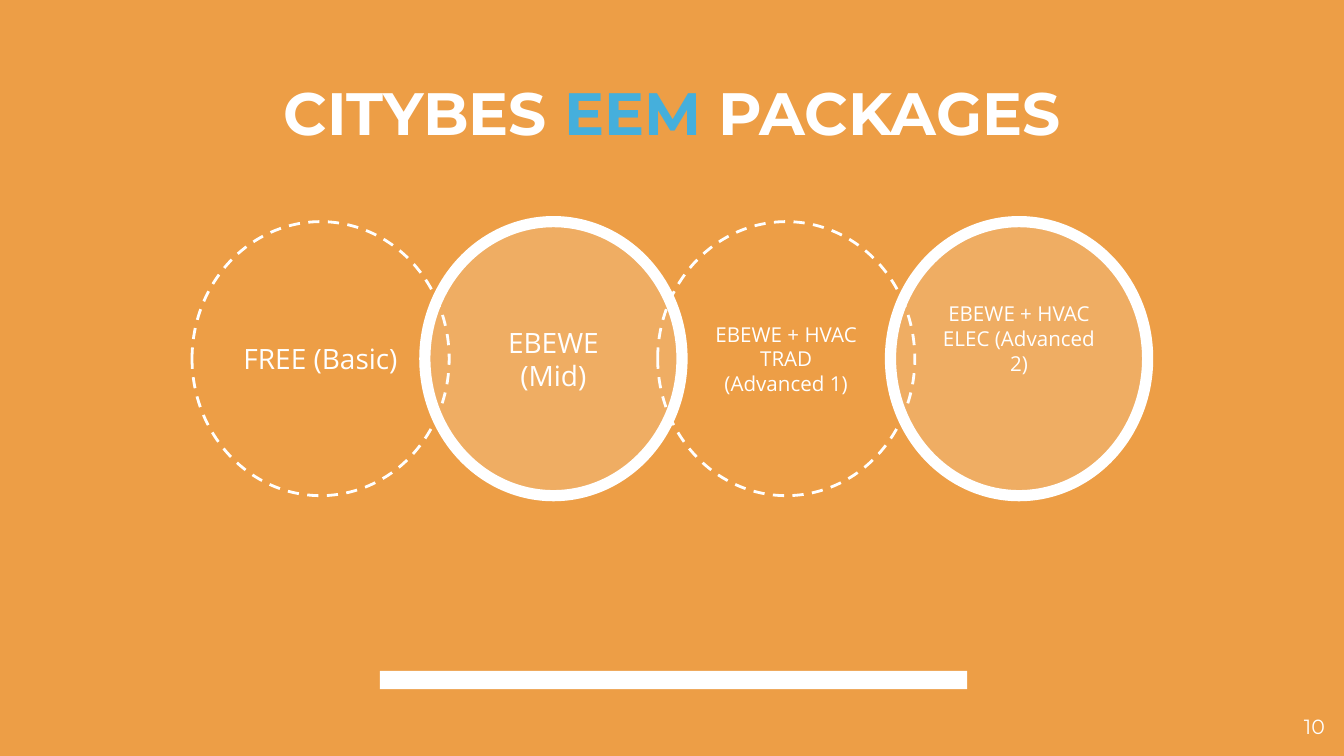
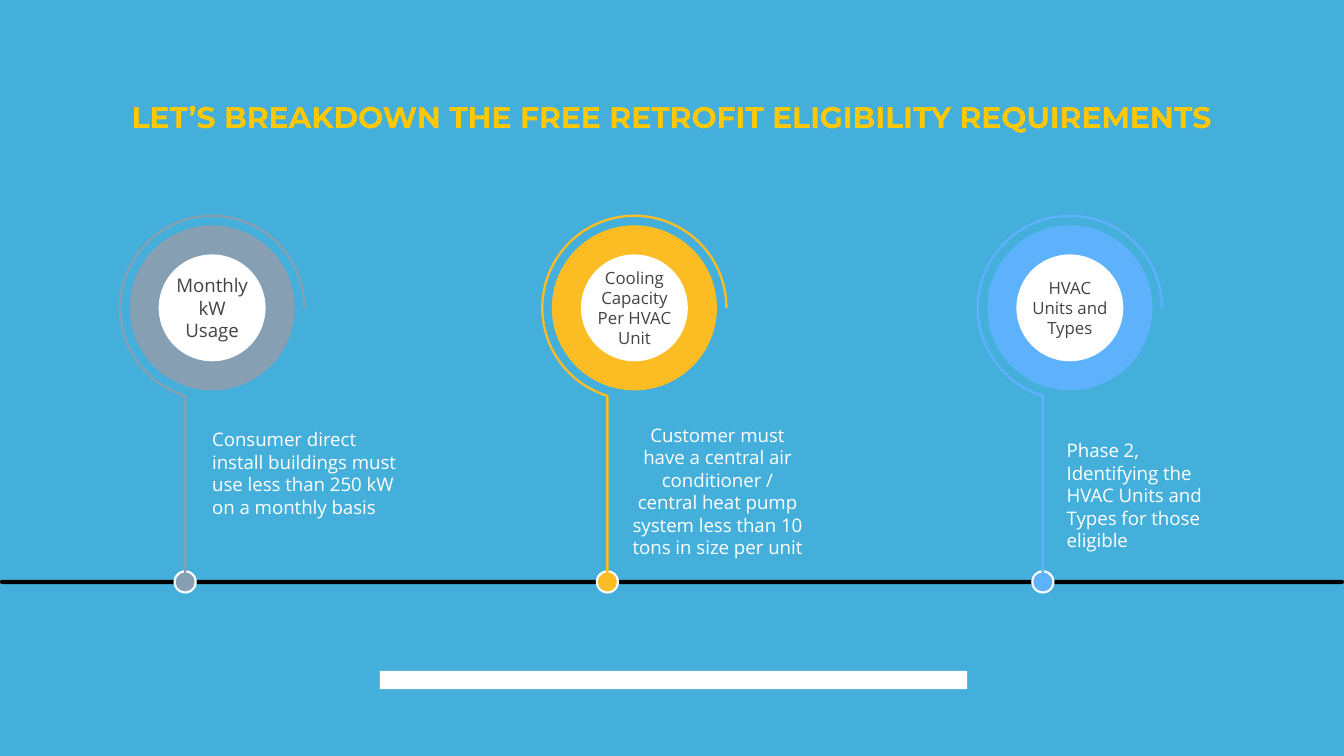
import math

import pptx
import pptx.dml.color
import pptx.enum.dml
import pptx.enum.shapes
import pptx.enum.text
import pptx.oxml
import pptx.oxml.ns
import pptx.util
from pptx.util import Cm

COLORS = {
    "orange": "ED9E46",
    "blue": "45AFDC",
    "white": "FFFFFF",
    "black": "000000",
    "title_yellow": "FFC800",
    "grey": "869FB2",
    "amber": "FCBD24",
    "sky": "5EB2FC",
    "dark_text": "434343",
}
TITLE_FONT = "Montserrat"
BODY_FONT = "Open Sans"
INSET = 0.25

ALIGN = pptx.enum.text.PP_ALIGN
ANCHOR = pptx.enum.text.MSO_ANCHOR
PRESET = pptx.enum.shapes.MSO_SHAPE

# Timeline measures in centimetres
TIMELINE_Y = 11.0
MILESTONE_Y = 5.82
ARC_RADIUS = 1.74
STEM_OFFSET = 0.51
ARC_STEPS = 90


def rgb(name):
    return pptx.dml.color.RGBColor.from_string(COLORS[name])


def new_slide(presentation, background):
    """Add a blank slide with a coloured background and the white bottom band."""
    slide = presentation.slides.add_slide(presentation.slide_layouts[6])
    slide.background.fill.solid()
    slide.background.fill.fore_color.rgb = rgb(background)
    add_preset(slide, PRESET.RECTANGLE, (7.18, 12.68, 11.1, 0.35), "white")
    return slide


def add_preset(slide, preset, box, fill=None):
    shape = slide.shapes.add_shape(preset, *map(Cm, box))
    shape.shadow.inherit = False
    shape.line.fill.background()
    if fill:
        shape.fill.solid()
        shape.fill.fore_color.rgb = rgb(fill)
    else:
        shape.fill.background()
    return shape


def add_disc(slide, center_x, center_y, radius, fill):
    box = (center_x - radius, center_y - radius, 2 * radius, 2 * radius)
    return add_preset(slide, PRESET.OVAL, box, fill)


def style_font(font, name, size, color, bold=False):
    font.name = name
    font.size = pptx.util.Pt(size)
    font.bold = bold
    font.color.rgb = rgb(color)


def set_frame(shape, anchor, inset=INSET):
    """Wrap the text of a shape, anchor it and return its first paragraph."""
    frame = shape.text_frame
    frame.word_wrap = True
    frame.vertical_anchor = anchor
    frame.margin_left = frame.margin_right = Cm(inset)
    frame.margin_top = frame.margin_bottom = Cm(inset)
    return frame.paragraphs[0]


def write(shape, text, size, color="white", font=BODY_FONT,
          align=ALIGN.CENTER, anchor=ANCHOR.MIDDLE, inset=INSET):
    paragraph = set_frame(shape, anchor, inset)
    paragraph.text = text
    paragraph.alignment = align
    style_font(paragraph.font, font, size, color)


def add_text(slide, box, text, size, **style):
    write(slide.shapes.add_textbox(*map(Cm, box)), text, size, **style)


def add_title(slide, parts, size, anchor):
    """Add a centred bold title from (text, color) parts."""
    textbox = slide.shapes.add_textbox(Cm(1.27), Cm(1.19), Cm(22.86), Cm(1.6))
    paragraph = set_frame(textbox, anchor)
    paragraph.alignment = ALIGN.CENTER
    for text, color in parts:
        run = paragraph.add_run()
        run.text = text
        style_font(run.font, TITLE_FONT, size, color, bold=True)


def set_opacity(shape, percent):
    color = shape.fill._xPr.find(".//" + pptx.oxml.ns.qn("a:srgbClr"))
    alpha = pptx.oxml.parse_xml(
        f'<a:alpha {pptx.oxml.ns.nsdecls("a")} val="{percent * 1000}"/>')
    color.append(alpha)


def add_package(slide, left, text, size, highlighted):
    """Add a package circle: thick and tinted if highlighted, else dashed."""
    box = (left, 4.19, 4.86, 5.18)
    circle = add_preset(slide, PRESET.OVAL, box, "white" if highlighted else None)
    circle.line.color.rgb = rgb("white")
    if highlighted:
        set_opacity(circle, 16)
        circle.line.width = pptx.util.Pt(6)
    else:
        circle.line.width = pptx.util.Pt(1.5)
        circle.line.dash_style = pptx.enum.dml.MSO_LINE.DASH
    write(circle, text, size)
    return circle


def add_arc_with_stem(slide, center_x, color):
    """Draw an open arc over the disc that runs down into the timeline."""
    sweep = math.pi + math.acos(STEM_OFFSET / ARC_RADIUS)
    angles = [sweep * step / ARC_STEPS for step in range(ARC_STEPS + 1)]
    points = [(Cm(center_x + ARC_RADIUS * math.cos(angle)),
               Cm(MILESTONE_Y - ARC_RADIUS * math.sin(angle)))
              for angle in angles]
    points.append((Cm(center_x - STEM_OFFSET), Cm(TIMELINE_Y)))
    builder = slide.shapes.build_freeform(*points[0])
    builder.add_line_segments(points[1:], close=False)
    outline = builder.convert_to_shape()
    outline.shadow.inherit = False
    outline.fill.background()
    outline.line.color.rgb = rgb(color)
    outline.line.width = pptx.util.Pt(1.25)


def add_milestone(slide, center_x, color, label, label_size, detail, box, align):
    dot_x = center_x - STEM_OFFSET
    add_disc(slide, dot_x, TIMELINE_Y, 0.22, "white")
    add_disc(slide, dot_x, TIMELINE_Y, 0.18, color)
    add_arc_with_stem(slide, center_x, color)
    add_disc(slide, center_x, MILESTONE_Y, 1.56, color)
    center = add_disc(slide, center_x, MILESTONE_Y, 1.01, "white")
    write(center, label, label_size, color="dark_text", inset=0)
    add_text(slide, box, detail, 10, align=align)


def build_packages(presentation):
    slide = new_slide(presentation, "orange")
    add_title(slide, [("CITYBES ", "white"), ("EEM ", "blue"),
                      ("PACKAGES", "white")], 32, ANCHOR.TOP)
    packages = [
        ("FREE (Basic)", 15),
        ("EBEWE (Mid)", 15),
        ("EBEWE + HVAC TRAD (Advanced 1)", 11),
        ("EBEWE + HVAC ELEC (Advanced 2)", 11),
    ]
    for index, (text, size) in enumerate(packages):
        circle = add_package(slide, 3.63 + 4.4 * index, text, size, index % 2 == 1)
    circle.text_frame.margin_bottom = Cm(1.02)  # the last label sits higher
    add_text(slide, (23.77, 13.26, 1.52, 0.81), "10", 11,
             font=TITLE_FONT, align=ALIGN.RIGHT, anchor=ANCHOR.TOP)


def build_requirements(presentation):
    slide = new_slide(presentation, "blue")
    add_title(slide, [("LET’S BREAKDOWN THE FREE RETROFIT ELIGIBILITY REQUIREMENTS",
                       "title_yellow")], 16, ANCHOR.BOTTOM)
    timeline = add_preset(slide, PRESET.ROUNDED_RECTANGLE,
                          (0, TIMELINE_Y - 0.04, 25.4, 0.08), "black")
    timeline.adjustments[0] = 0.5
    milestones = [
        (4.01, "grey", "Monthly kW Usage", 10,
         "Consumer direct install buildings must use less than 250 kW "
         "on a monthly basis", (3.76, 7.47, 4.09, 2.95), ALIGN.LEFT),
        (11.99, "amber", "Cooling Capacity Per HVAC Unit", 9,
         "Customer must have a central air conditioner / central heat pump "
         "system less than 10 tons in size per unit",
         (11.68, 8.13, 3.76, 2.31), ALIGN.CENTER),
        (20.22, "sky", "HVAC Units and Types", 9,
         "Phase 2, Identifying the HVAC Units and Types for those eligible",
         (19.91, 8.13, 3.45, 2.46), ALIGN.LEFT),
    ]
    for milestone in milestones:
        add_milestone(slide, *milestone)


def main():
    presentation = pptx.Presentation()
    presentation.slide_width = Cm(25.4)
    presentation.slide_height = Cm(14.29)
    build_packages(presentation)
    build_requirements(presentation)
    presentation.save("out.pptx")


if __name__ == "__main__":
    main()
